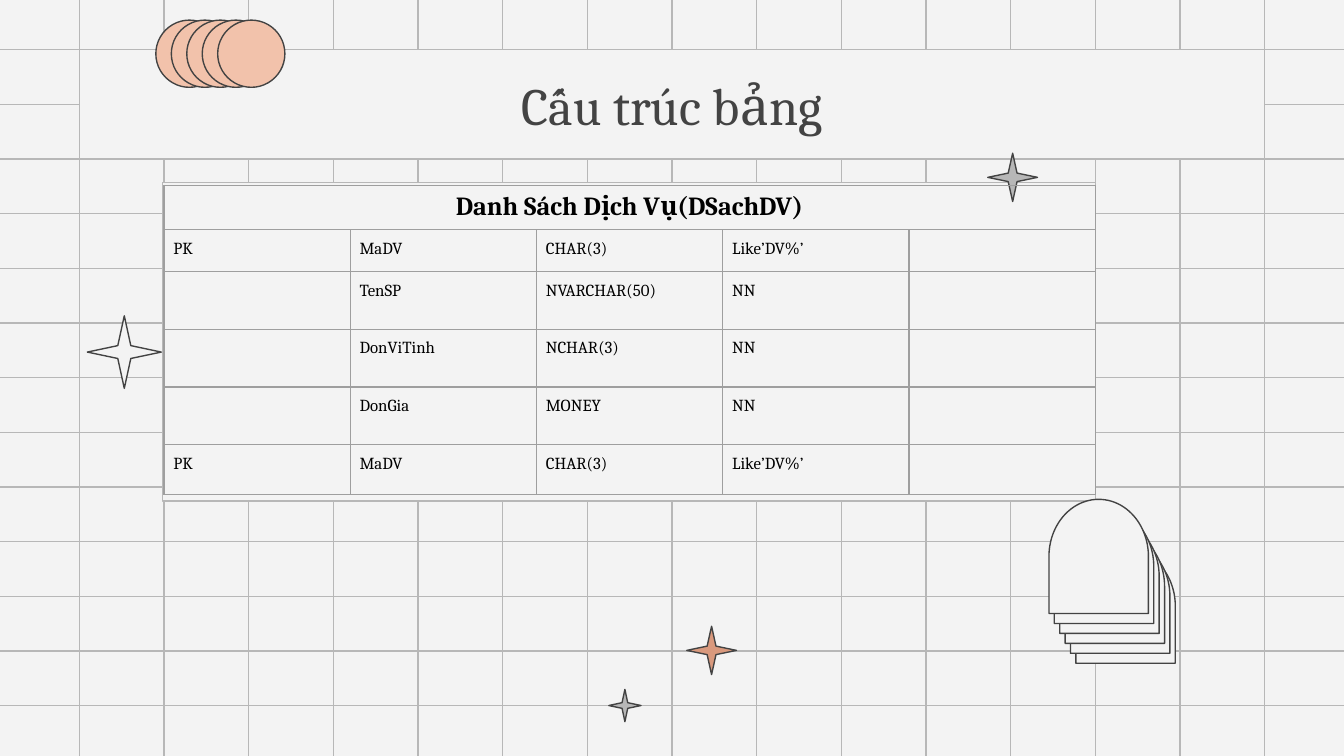
from lxml import etree
from pptx import Presentation
from pptx.dml.color import RGBColor
from pptx.enum.shapes import MSO_CONNECTOR, MSO_SHAPE
from pptx.enum.text import MSO_ANCHOR, PP_ALIGN
from pptx.oxml.ns import qn
from pptx.util import Inches, Pt

COLORS = {"paper": "F3F3F3", "grid": "B7B7B7", "ink": "434343", "peach": "F2C2AB",
          "clay": "D9997D", "border": "9E9E9E", "black": "000000"}
FONT = "Cambria"


def color(name):
    return RGBColor.from_string(COLORS[name])


def add_outlined(kind, x, y, w, h, fill, line="ink"):
    """Add a filled preset shape with a thin outline, sized in inches."""
    sp = s.shapes.add_shape(kind, Inches(x), Inches(y), Inches(w), Inches(h))
    sp.shadow.inherit = False
    sp.fill.solid()
    sp.fill.fore_color.rgb = color(fill)
    sp.line.color.rgb = color(line)
    sp.line.width = Pt(0.75)
    if kind == MSO_SHAPE.STAR_4_POINT:
        sp.adjustments[0] = 0.125
    return sp


prs = Presentation()
prs.slide_width = Inches(10)
prs.slide_height = Inches(10 * 9 / 16)
s = prs.slides.add_slide(prs.slide_layouts[5])
s.background.fill.solid()
s.background.fill.fore_color.rgb = color("paper")

# Background grid
columns = [0.59 + 0.63 * i for i in range(15)]
rows = [0.37 + (5.25 - 0.37) / 12 * i for i in range(13)]
grid = [(x, -0.03, x, 5.66) for x in columns] + [(-0.04, y, 10.04, y) for y in rows]
for ends in grid:
    line = s.shapes.add_connector(MSO_CONNECTOR.STRAIGHT, *map(Inches, ends))
    line.line.color.rgb = color("grid")
    line.line.width = Pt(0.75)
    etree.SubElement(line._element.spPr, qn("a:effectLst"))

add_outlined(MSO_SHAPE.STAR_4_POINT, 5.11, 4.66, 0.37, 0.36, "clay")
add_outlined(MSO_SHAPE.STAR_4_POINT, 4.53, 5.13, 0.24, 0.24, "grid")

# Title, brought in front of the grid
title = s.shapes.title
title.element.getparent().append(title.element)
title.left, title.top = Inches(0.59), Inches(0.37)
title.width, title.height = Inches(8.82), Inches(0.81)
title.fill.solid()
title.fill.fore_color.rgb = color("paper")
title.line.color.rgb = color("grid")
title.line.width = Pt(0.75)
tf = title.text_frame
tf.vertical_anchor = MSO_ANCHOR.MIDDLE
tf.margin_left = tf.margin_right = tf.margin_top = tf.margin_bottom = Inches(0.1)
p = tf.paragraphs[0]
p.alignment = PP_ALIGN.CENTER
r = p.add_run()
r.text = "Cấu trúc bảng"
r.font.name, r.font.size = FONT, Pt(28)
r.font.color.rgb = color("ink")

# Overlapping circles
for i in range(5):
    add_outlined(MSO_SHAPE.OVAL, 1.16 + 0.46 / 4 * i, 0.15, 0.5, 0.5, "peach")

add_outlined(MSO_SHAPE.RECTANGLE, 1.21, 1.36, 6.94, 2.37, "paper", "grid")
add_outlined(MSO_SHAPE.STAR_4_POINT, 7.35, 1.14, 0.37, 0.36, "grid")

# Table structure
table_rows = [
    ["Danh Sách Dịch Vụ(DSachDV)", "", "", "", ""],
    ["PK", "MaDV", "CHAR(3)", "Like’DV%’", ""],
    ["", "TenSP", "NVARCHAR(50)", "NN", ""],
    ["", "DonViTinh", "NCHAR(3)", "NN", ""],
    ["", "DonGia", "MONEY", "NN", ""],
    ["PK", "MaDV", "CHAR(3)", "Like’DV%’", ""],
]
row_heights = [0.33, 0.31, 0.43, 0.43, 0.43, 0.37]
table = s.shapes.add_table(6, 5, Inches(1.22), Inches(1.38),
                           Inches(6.93), Inches(sum(row_heights))).table
table.first_row = table.horz_banding = False
for row, height in zip(table.rows, row_heights):
    row.height = Inches(height)
table.cell(0, 0).merge(table.cell(0, 4))

for i, texts in enumerate(table_rows):
    for j, text in enumerate(texts):
        cell = table.cell(i, j)
        p = cell.text_frame.paragraphs[0]
        if i == 0:
            p.alignment = PP_ALIGN.CENTER
        else:
            cell.margin_left = cell.margin_right = Inches(0.07)
            cell.margin_top = cell.margin_bottom = Inches(0.07)
            p.space_after = Pt(8)
        if text:
            r = p.add_run()
            r.text = text
            r.font.name, r.font.size = FONT, Pt(9 if i else 14)
            r.font.bold = i == 0
            r.font.color.rgb = color("black")
        else:
            etree.SubElement(p._p, qn("a:endParaRPr"), sz="900")
        tc_pr = cell._tc.get_or_add_tcPr()
        for side in ("a:lnL", "a:lnR", "a:lnT", "a:lnB"):
            ln = etree.SubElement(tc_pr, qn(side), w=str(Pt(0.75)))
            solid = etree.SubElement(ln, qn("a:solidFill"))
            etree.SubElement(solid, qn("a:srgbClr"), val=COLORS["border"])
        cell.fill.background()

add_outlined(MSO_SHAPE.STAR_4_POINT, 0.65, 2.35, 0.55, 0.54, "paper")

# Stack of arches, from back to front
for i in reversed(range(6)):
    arch = add_outlined(MSO_SHAPE.FLOWCHART_DELAY, 7.75 + 0.04 * i, 3.77 + 0.37 / 5 * i,
                        0.85, 0.74, "paper")
    arch.rotation = 270

prs.save("out.pptx")
